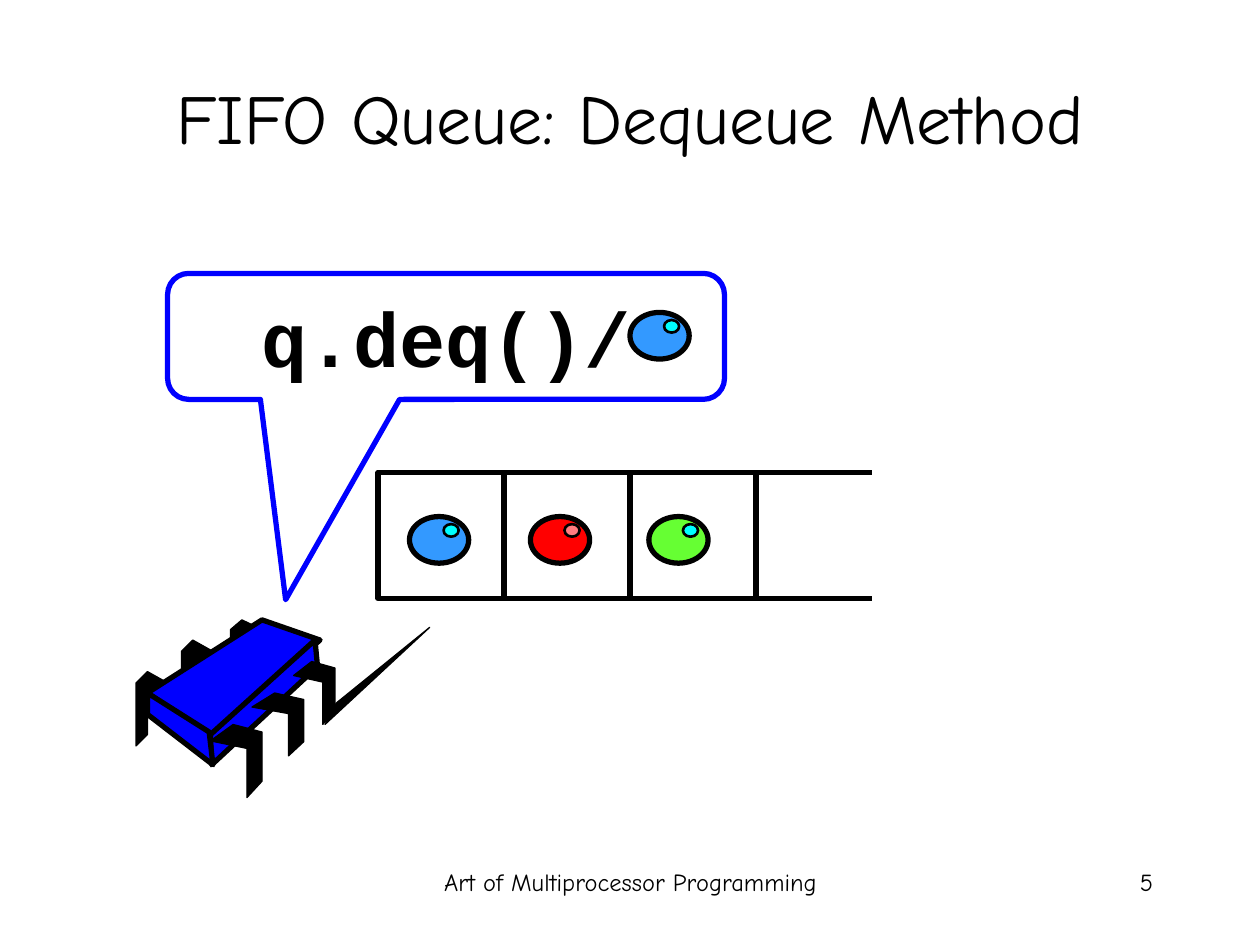
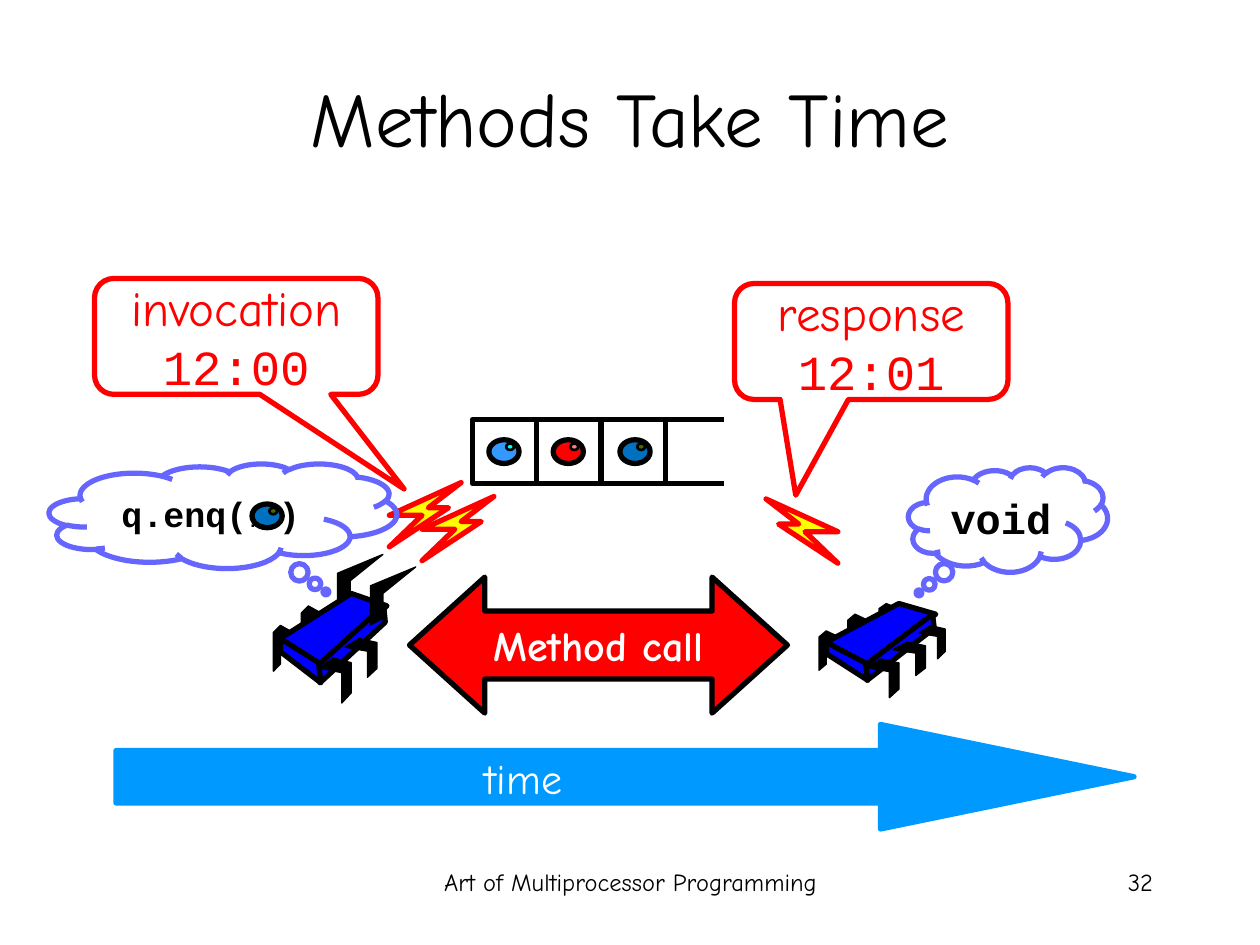
from lxml import etree
from pptx import Presentation
from pptx.dml.color import RGBColor
from pptx.enum.shapes import MSO_CONNECTOR, MSO_SHAPE
from pptx.enum.text import MSO_ANCHOR, PP_ALIGN
from pptx.oxml.ns import qn
from pptx.util import Pt

PX = 9144  # one hundredth of an inch
STRAIGHT = MSO_CONNECTOR.STRAIGHT
RECT, OVAL = MSO_SHAPE.RECTANGLE, MSO_SHAPE.OVAL
BUBBLE = MSO_SHAPE.ROUNDED_RECTANGULAR_CALLOUT
CLOUD = MSO_SHAPE.CLOUD_CALLOUT
ARROW, DOUBLE = MSO_SHAPE.RIGHT_ARROW, MSO_SHAPE.LEFT_RIGHT_ARROW
CENTER, RIGHT = PP_ALIGN.CENTER, PP_ALIGN.RIGHT
MIDDLE = MSO_ANCHOR.MIDDLE

HUES = {
    "black": "000000", "white": "FFFFFF", "blue": "0000FF", "red": "FF0000",
    "sky": "3399FF", "navy": "0070C0", "green": "66FF33", "cyan": "00FFFF",
    "pink": "FF7C80", "olive": "4C6600", "yellow": "FFFF00",
    "time": "0099FF", "cloud": "6666FF",
}
HAND, CODE = "Comic Neue", "Courier New"
FOOTER = "Art of Multiprocessor Programming"

# Bug outlines, measured from the top left corner of the bug
REAR = [(25, 9), (9, 0), (0, 9), (0, 59), (9, 50), (9, 17), (25, 25)]
FRONT = [(18, 0), (0, 13), (29, 19), (29, 58), (41, 45), (41, 6)]
REARS = [(0, 41, 1, 1), (36, 16, 1, 1), (75, 0, 1, .85)]
FRONTS = [(59, 83, 1, 1), (92, 58, 1, .86), (125, 33, .8, .86)]
BODY = [
    [(100, 0), (9, 58), (60, 93), (146, 16)],
    [(142, 16), (59, 91), (60, 115), (144, 37)],
    [(9, 58), (9, 75), (61, 115), (58, 89)],
]
ARM = [(0, 46), (10, 41), (10, 21), (36, 0), (0, 15)]
SPEAR = [(0, 77), (9, 60), (83, 0)]
BOLT = [(0, 51), (26, 26), (0, 26), (57, 0), (31, 20), (47, 20)]


def hue(name):
    return RGBColor.from_string(HUES[name])


def place(pts, x, y, wide=1, high=1):
    return [(x + a * wide, y + b * high) for a, b in pts]


class Deck:
    def __init__(self):
        self.prs = Presentation()
        self.prs.slide_width, self.prs.slide_height = 1000 * PX, 750 * PX
        self.slide = None

    def start(self, title, size, page):
        """Add a slide with its title and footers."""
        self.slide = self.prs.slides.add_slide(self.prs.slide_layouts[5])
        head = self.slide.shapes.title
        spots = dict(left=50, top=30, width=900, height=125)
        for key, val in spots.items():
            setattr(head, key, val * PX)
        head.text_frame.vertical_anchor = MIDDLE
        self.text(head, [(title, dict(size=size))])
        self.label(342, 683, 317, 50, FOOTER, 14)
        self.label(717, 683, 208, 50, page, 14, align=RIGHT)

    def text(self, shape, runs, color="black", align=CENTER, wrap=True):
        """Fill a shape with one paragraph of (words, font values) runs."""
        shape.text_frame.word_wrap = wrap
        para = shape.text_frame.paragraphs[0]
        para.alignment = align
        for words, form in runs:
            run = para.add_run()
            run.text = words
            form = {"name": HAND, "bold": False, **form}
            form["size"] = Pt(form["size"])
            for key, val in form.items():
                setattr(run.font, key, val)
            run.font.color.rgb = hue(color)

    def label(self, x, y, w, h, words, size, **style):
        box = self.slide.shapes.add_textbox(x * PX, y * PX, w * PX, h * PX)
        self.text(box, [(words, dict(size=size))], **style)

    def paint(self, shape, fill, line, width):
        shape.shadow.inherit = False
        if fill:
            shape.fill.solid()
            shape.fill.fore_color.rgb = hue(fill)
        else:
            shape.fill.background()
        shape.line.color.rgb = hue(line)
        shape.line.width = Pt(width)

    def shape(self, kind, x, y, w, h, fill=None, line="black", width=3, adj=()):
        item = self.slide.shapes.add_shape(
            kind, *(round(n * PX) for n in (x, y, w, h)))
        for i, val in enumerate(adj):
            item.adjustments[i] = val
        self.paint(item, fill, line, width)
        return item

    def poly(self, pts, fill="black", line="black", width=.75):
        pts = [(x * PX, y * PX) for x, y in pts]
        form = self.slide.shapes.build_freeform(*pts[0])
        form.add_line_segments(pts[1:], close=True)
        self.paint(form.convert_to_shape(), fill, line, width)

    def rule(self, x, y, end):
        """Draw a level line from x to end."""
        line = self.slide.shapes.add_connector(
            STRAIGHT, *(round(n * PX) for n in (x, y, end, y)))
        line.line.color.rgb = hue("black")
        line.line.width = Pt(3)
        etree.SubElement(line._element.spPr, qn("a:effectLst"))

    def ball(self, x, y, fill, shine, zoom=1):
        self.shape(OVAL, x, y, 47 * zoom, 37 * zoom, fill)
        self.shape(OVAL, x + 27 * zoom, y + 6 * zoom, 12 * zoom, 10 * zoom,
                   shine, width=1.5)

    def queue(self, x, y, cell):
        """Draw three cells and the open end of the queue."""
        for i in range(3):
            self.shape(RECT, x + i * cell, y, cell, cell)
        for edge in (y, y + cell):
            self.rule(x + 2.92 * cell, edge, x + 3.92 * cell)

    def bug(self, x, y, wide=1, high=1, pairs=3):
        def legs(shape, spots):
            for left, top, w, h in spots[:pairs]:
                leg = place(shape, left, top, w, h)
                self.poly(place(leg, x, y, wide, high))

        legs(REAR, REARS)
        for side in BODY:
            self.poly(place(side, x, y, wide, high), "blue", width=3)
        legs(FRONT, FRONTS)

    def bolt(self, x, y, wide=1):
        self.poly(place(BOLT, x, y, wide), "yellow", "red", 3)

    def event(self, x, y, w, name, hour, adj):
        """Draw a red bubble with the name and hour of an event."""
        box = self.shape(BUBBLE, x, y, w, 92, line="red", adj=adj)
        self.text(box, [(name + " ", dict(size=28)),
                        (hour, dict(size=28, name=CODE))], "red")

    def think(self, x, y, w, parts, adj):
        """Draw a thought cloud holding code as (words, size) parts."""
        box = self.shape(CLOUD, x, y, w, 83, line="cloud", adj=adj)
        self.text(box, [(words, dict(size=size, name=CODE, bold=True))
                        for words, size in parts])


def dequeue(deck):
    deck.start("FIFO Queue: Dequeue Method", 40, "5")
    deck.queue(300, 375, 100)
    balls = [(515, "green", "cyan"), (421, "red", "pink"), (325, "sky", "cyan")]
    for x, fill, shine in balls:
        deck.ball(x, 410, fill, shine)
    deck.bug(108, 492)
    deck.poly(place(SPEAR, 258, 498))
    call = deck.shape(BUBBLE, 133, 217, 442, 100, line="blue",
                      adj=(-.288, 2.09, .167))
    deck.text(call, [("q.deq()/", dict(size=44, name=CODE, bold=True))])
    deck.ball(500, 248, "sky", "cyan")


def timing(deck):
    deck.start("Methods Take Time", 44, "32")
    deck.queue(375, 333, 51)
    balls = [(388, "sky", "cyan"), (439, "red", "pink"), (492, "navy", "olive")]
    for x, fill, shine in balls:
        deck.ball(x, 349, fill, shine, .51)
    span = deck.shape(DOUBLE, 325, 458, 300, 108, "red", adj=(.5, .554))
    deck.text(span, [("Method call", dict(size=24, bold=True))],
              "white", wrap=False)

    deck.event(75, 221, 225, "invocation", "12:00", (.592, 1.316, .167))
    deck.bolt(309, 383)
    deck.poly(place(ARM, 268, 440))
    deck.bug(217, 471, .617, .617, pairs=2)
    deck.poly(place(ARM, 294, 450))
    deck.bolt(335, 394)
    deck.ball(200, 400, "navy", "olive", .51)

    deck.shape(ARROW, 92, 575, 808, 83, "time", "time", adj=(.5, 2.425))
    deck.label(367, 592, 89, 50, "time", 24,
               color="white", align=RIGHT, wrap=False)

    deck.bug(650, 479, .635, .53)
    deck.think(721, 371, 158, [("void", 24)], (-.447, .7))
    deck.bolt(665, 396, -1)
    deck.event(583, 225, 217, "response", "12:01", (-.276, 1.326, .167))
    deck.think(39, 368, 276, [("q.enq(", 20), ("...", 10), (")", 20)],
               (.296, .727))


def main():
    deck = Deck()
    dequeue(deck)
    timing(deck)
    deck.prs.save("out.pptx")


if __name__ == "__main__":
    main()
